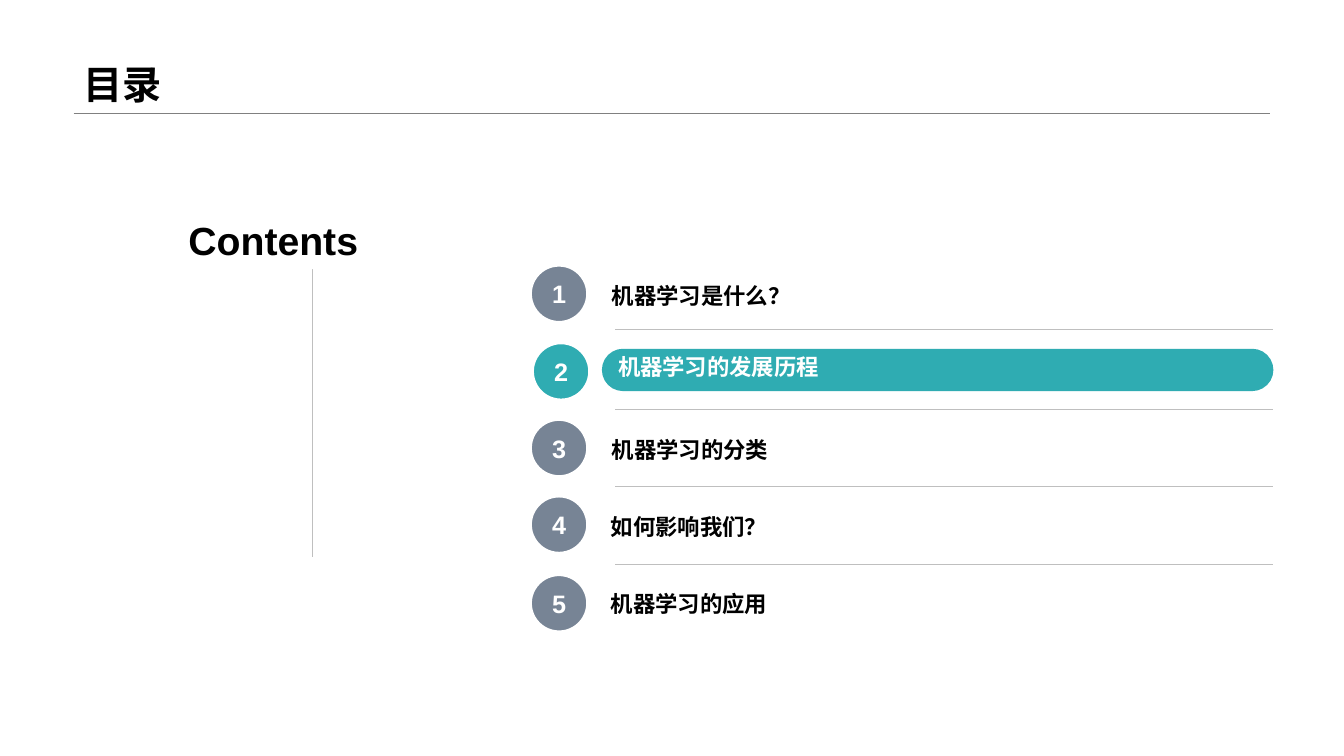
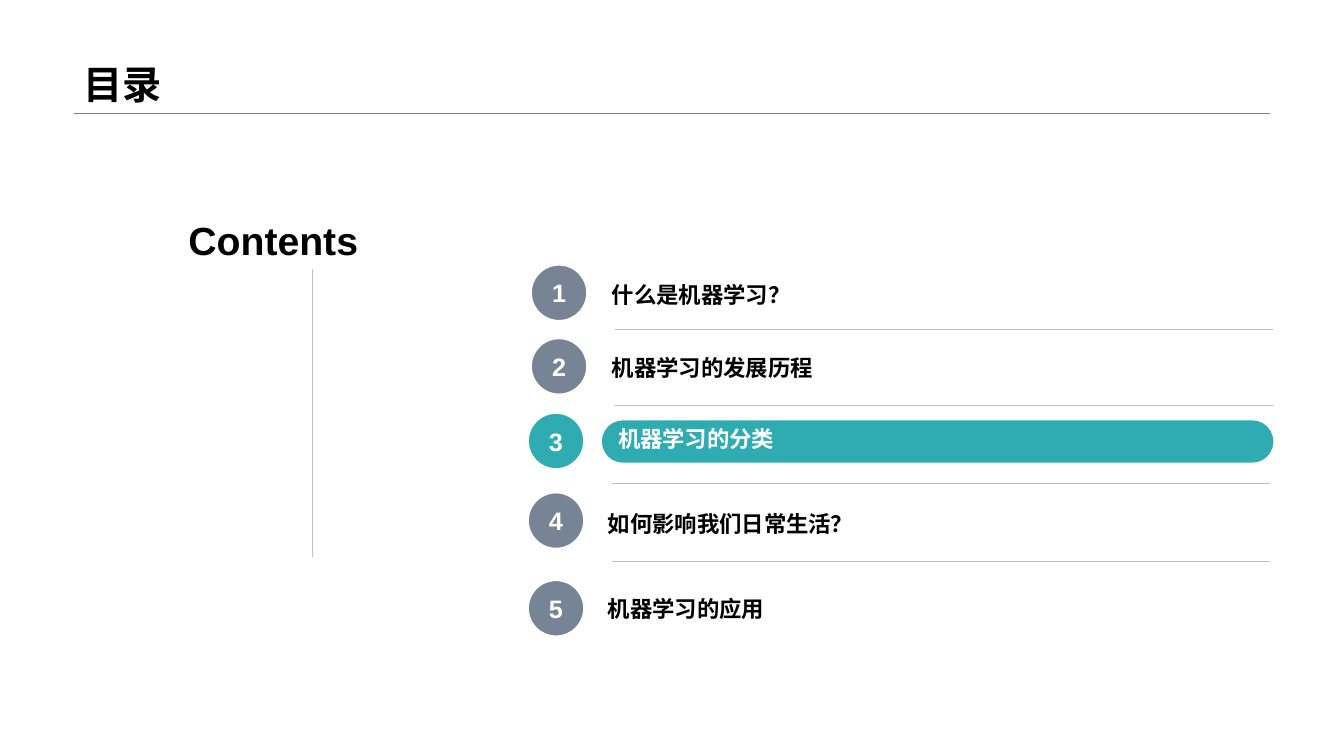
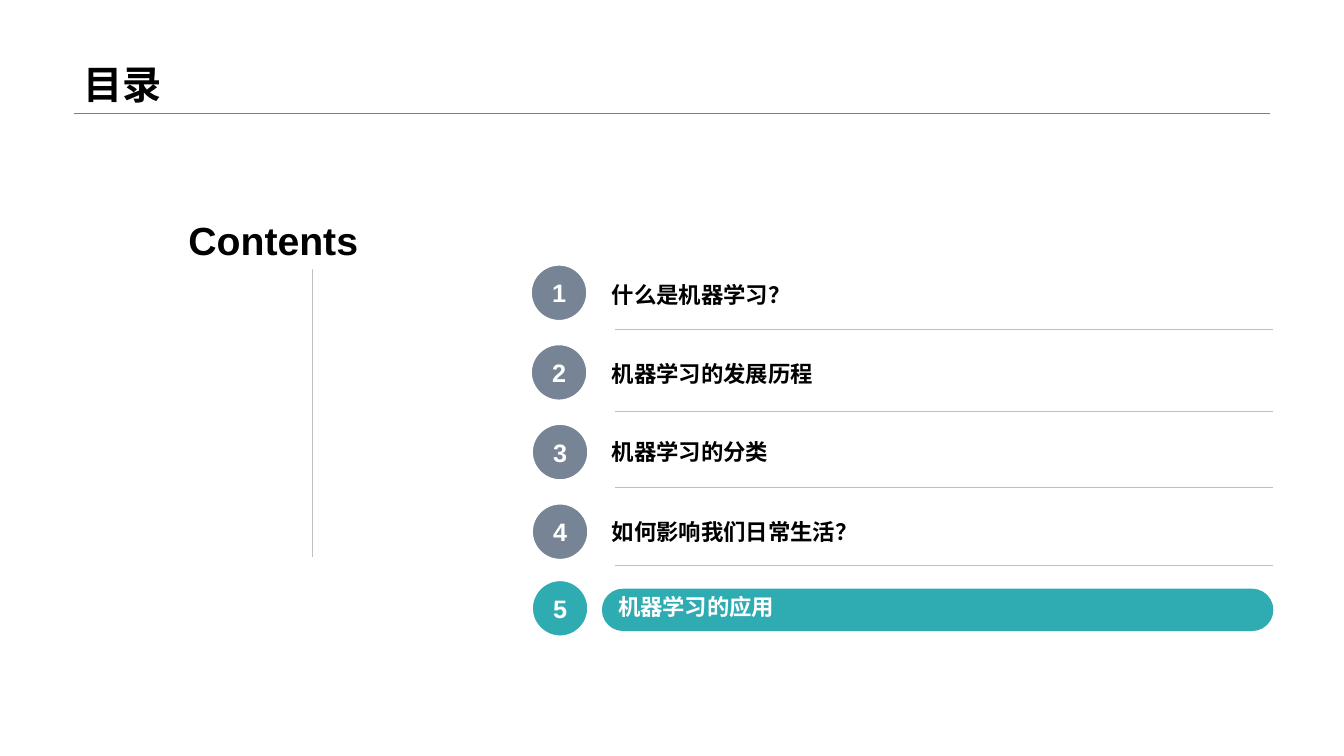
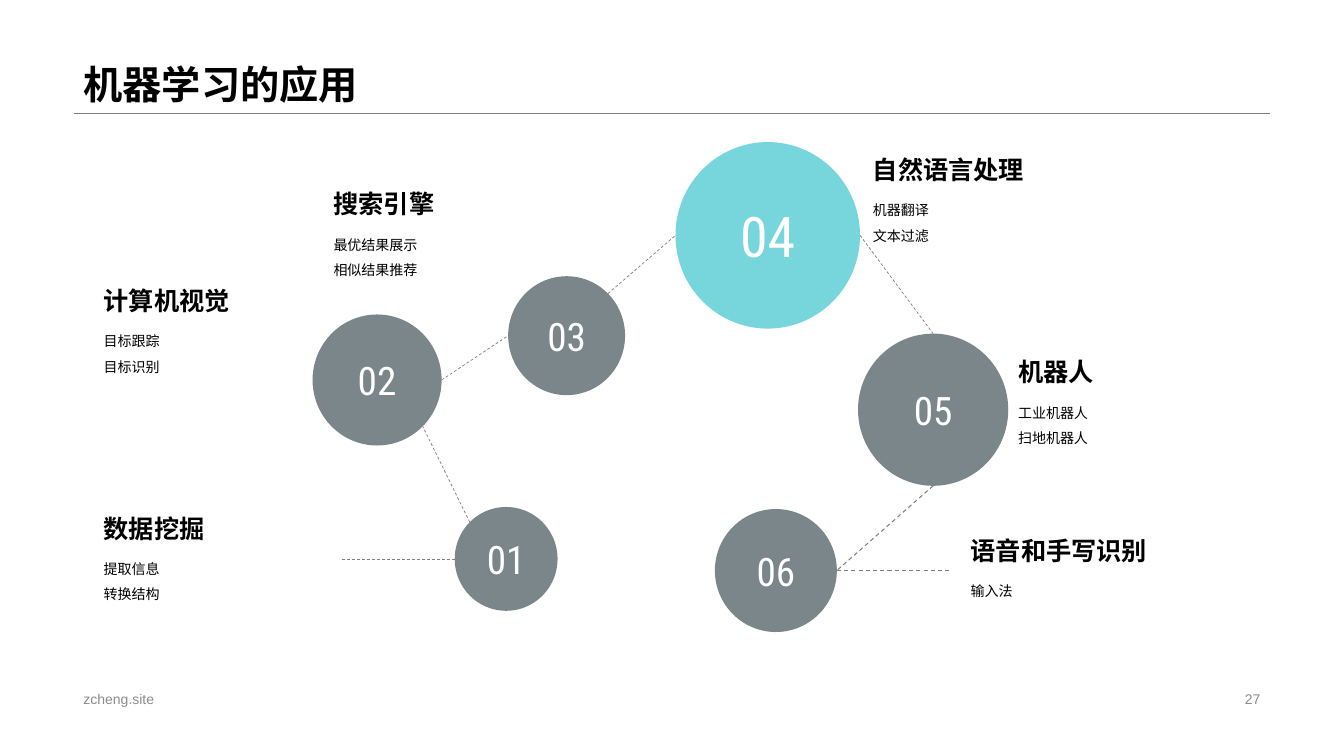
from math import cos, radians, sin

from lxml.etree import SubElement
from pptx import Presentation
from pptx.dml.color import RGBColor
from pptx.enum.dml import MSO_LINE
from pptx.enum.lang import MSO_LANGUAGE_ID
from pptx.enum.shapes import MSO_CONNECTOR, MSO_SHAPE
from pptx.enum.text import MSO_ANCHOR, MSO_AUTO_SIZE, PP_ALIGN
from pptx.oxml.ns import qn
from pptx.util import Inches, Pt

BLACK, WHITE = "000000", "FFFFFF"
TEAL, AQUA = "2FACB2", "77D6DB"
SLATE, STONE = "778495", "7B868A"
GREY, PALE, MUTED = "808080", "BFBFBF", "8C8C8C"

FONT = "Arial"
NUMBER_FONT = "Roboto Condensed"
LEFT, CENTER, RIGHT = PP_ALIGN.LEFT, PP_ALIGN.CENTER, PP_ALIGN.RIGHT
TOP, MIDDLE, BOTTOM = MSO_ANCHOR.TOP, MSO_ANCHOR.MIDDLE, MSO_ANCHOR.BOTTOM

BADGE_SIZE = 0.57
LABEL_WIDTH, LABEL_HEIGHT = 6.66, 0.42
DIVIDER_WIDTH = 6.53

AGENDAS = [
    {
        "active": 2,
        "rows": [
            ("机器学习是什么？", 5.26, 2.63, 5.97, 2.69),
            ("机器学习的发展历程", 5.28, 3.4, 5.97, 3.46),
            ("机器学习的分类", 5.26, 4.16, 5.97, 4.22),
            ("如何影响我们？", 5.26, 4.92, 5.96, 4.99),
            ("机器学习的应用", 5.26, 5.7, 5.96, 5.75),
        ],
        "dividers": [(6.1, 3.27), (6.1, 4.06), (6.1, 4.82), (6.1, 5.6)],
    },
    {
        "active": 3,
        "rows": [
            ("什么是机器学习？", 5.26, 2.62, 5.97, 2.68),
            ("机器学习的发展历程", 5.26, 3.35, 5.97, 3.41),
            ("机器学习的分类", 5.23, 4.09, 5.97, 4.17),
            ("如何影响我们日常生活？", 5.23, 4.88, 5.93, 4.96),
            ("机器学习的应用", 5.23, 5.75, 5.93, 5.8),
        ],
        "dividers": [(6.1, 3.27), (6.1, 4.02), (6.07, 4.79), (6.07, 5.57)],
    },
    {
        "active": 5,
        "rows": [
            ("什么是机器学习？", 5.26, 2.62, 5.97, 2.68),
            ("机器学习的发展历程", 5.26, 3.41, 5.97, 3.47),
            ("机器学习的分类", 5.27, 4.2, 5.97, 4.24),
            ("如何影响我们日常生活？", 5.27, 4.99, 5.97, 5.04),
            ("机器学习的应用", 5.27, 5.75, 5.97, 5.84),
        ],
        "dividers": [(6.1, 3.27), (6.1, 4.08), (6.1, 4.83), (6.1, 5.61)],
    },
]

CIRCLES = {
    "01": (4.51, 5.03, 1.02, 1.03),
    "02": (3.1, 3.12, 1.28, 1.3),
    "03": (5.04, 2.74, 1.16, 1.18),
    "04": (6.7, 1.41, 1.83, 1.85),
    "05": (8.51, 3.31, 1.49, 1.51),
    "06": (7.09, 5.05, 1.21, 1.22),
}

LINKS = [
    ("01", 225, "02", 45, 0.5),
    ("02", 0, "03", 180, 0.5),
    ("03", 315, "04", 180, 0.5),
    ("04", 0, "05", 270, 0.5),
    ("05", 90, "06", 0, 0.75),
]

APPLICATIONS = [
    (0.93, 5.04, "数据挖掘", ["提取信息", "转换结构"]),
    (0.93, 2.78, "计算机视觉", ["目标跟踪", "目标识别"]),
    (3.21, 1.82, "搜索引擎", ["最优结果展示", "相似结果推荐"]),
    (8.56, 1.48, "自然语言处理", ["机器翻译", "文本过滤"]),
    (10, 3.49, "机器人", ["工业机器人", "扫地机器人"]),
    (9.53, 5.26, "语音和手写识别", ["输入法"]),
]


def color(value):
    return RGBColor.from_string(value)


def assign(target, values):
    for name, value in values.items():
        setattr(target, name, value)


def rim(circle, angle):
    left, top, width, height = circle
    turn = radians(angle)
    return (left + width / 2 * (1 + cos(turn)),
            top + height / 2 * (1 + sin(turn)))


class SlideBuilder:
    def __init__(self):
        self.deck = Presentation()
        assign(self.deck, {"slide_width": Inches(13.33),
                           "slide_height": Inches(7.5)})
        self.page = None

    def new_page(self, title):
        self.page = self.deck.slides.add_slide(self.deck.slide_layouts[5])
        self.line((0.73, 1.12), (12.6, 1.12), GREY)
        box = self.page.shapes.title
        places = (0.73, 0, 11.87, 1.12)
        assign(box, dict(zip(("left", "top", "width", "height"),
                             map(Inches, places))))
        self.fill_text(box, [title], 28, bold=True, anchor=BOTTOM, spacing=0.9)

    def fill_text(self, box, lines, size, ink=BLACK, bold=False, font=FONT,
                  align=LEFT, anchor=TOP, spacing=1.0):
        frame = box.text_frame
        assign(frame, {"word_wrap": True, "vertical_anchor": anchor,
                       "auto_size": MSO_AUTO_SIZE.NONE,
                       "margin_left": Inches(0.1), "margin_right": Inches(0.1),
                       "margin_top": Inches(0.05),
                       "margin_bottom": Inches(0.05)})
        for index, line in enumerate(lines):
            para = frame.add_paragraph() if index else frame.paragraphs[0]
            assign(para, {"alignment": align, "line_spacing": spacing})
            span = para.add_run()
            span.text = line
            assign(span.font, {"name": font, "size": Pt(size), "bold": bold,
                               "language_id":
                                   MSO_LANGUAGE_ID.SIMPLIFIED_CHINESE})
            span.font.color.rgb = color(ink)

    def text(self, place, lines, size, fill=None, **style):
        box = self.page.shapes.add_textbox(*map(Inches, place))
        if fill:
            box.fill.solid()
            box.fill.fore_color.rgb = color(fill)
        self.fill_text(box, lines, size, **style)

    def shape(self, kind, place, fill, label, size, outline=None, **style):
        box = self.page.shapes.add_shape(kind, *map(Inches, place))
        box.shadow.inherit = False
        box.fill.solid()
        box.fill.fore_color.rgb = color(fill)
        if outline:
            box.line.color.rgb = color(outline)
            box.line.width = Pt(2.25)
        else:
            box.line.fill.background()
        if kind == MSO_SHAPE.ROUNDED_RECTANGLE:
            box.adjustments[0] = 0.5
        self.fill_text(box, [label], size, ink=WHITE, **style)

    def line(self, start, end, ink, width=0.25, dash=None):
        connector = self.page.shapes.add_connector(
            MSO_CONNECTOR.STRAIGHT, *map(Inches, (*start, *end)))
        connector.line.color.rgb = color(ink)
        assign(connector.line, {"width": Pt(width), "dash_style": dash})
        SubElement(connector._element.spPr, qn("a:effectLst"))

    def dashed(self, start, end, width):
        self.line(start, end, GREY, width, MSO_LINE.DASH)

    def agenda(self, active, rows, dividers):
        self.new_page("目录")
        self.line((3.1, 2.15), (3.1, 5.53), PALE)
        self.text((1.74, 2.1, 1.91, 0.57), ["Contents"], 28, fill=WHITE,
                  bold=True, align=RIGHT)
        for left, top in dividers:
            self.line((left, top), (left + DIVIDER_WIDTH, top), PALE)
        for number, row in enumerate(rows, 1):
            label, badge_left, badge_top, left, top = row
            current = number == active
            self.shape(MSO_SHAPE.OVAL,
                       (badge_left, badge_top, BADGE_SIZE, BADGE_SIZE),
                       TEAL if current else SLATE, str(number), 18,
                       outline=WHITE, bold=True, align=CENTER, anchor=MIDDLE)
            place = (left, top, LABEL_WIDTH, LABEL_HEIGHT)
            if current:
                self.shape(MSO_SHAPE.ROUNDED_RECTANGLE, place, TEAL, label, 16,
                           bold=True, anchor=BOTTOM)
            else:
                self.text(place, [label], 16, bold=True, anchor=BOTTOM)

    def applications(self):
        self.new_page("机器学习的应用")
        for number, circle in CIRCLES.items():
            main_circle = number == "04"
            self.shape(MSO_SHAPE.OVAL, circle, AQUA if main_circle else STONE,
                       number, 40 if main_circle else 28, font=NUMBER_FONT,
                       align=CENTER, anchor=MIDDLE)
        for first, leave, second, arrive, width in LINKS:
            self.dashed(rim(CIRCLES[first], leave),
                        rim(CIRCLES[second], arrive), width)
        for number, angle, reach, width in [("01", 180, 3.38, 0.5),
                                            ("06", 0, 9.42, 0.75)]:
            start = rim(CIRCLES[number], angle)
            self.dashed(start, (reach, start[1]), width)
        for left, top, heading, details in APPLICATIONS:
            self.text((left, top, 2.4, 0.38), [heading], 18, bold=True)
            self.text((left, top + 0.39, 2.4, 0.61), details, 10, spacing=1.5)
        self.text((0.73, 6.82, 4.53, 0.23), ["zcheng.site"], 10, ink=MUTED,
                  anchor=MIDDLE)
        self.text((9.42, 6.82, 3.18, 0.23), ["27"], 10, ink=MUTED,
                  align=RIGHT, anchor=MIDDLE)


def main():
    builder = SlideBuilder()
    for agenda in AGENDAS:
        builder.agenda(**agenda)
    builder.applications()
    builder.deck.save("out.pptx")


if __name__ == "__main__":
    main()
